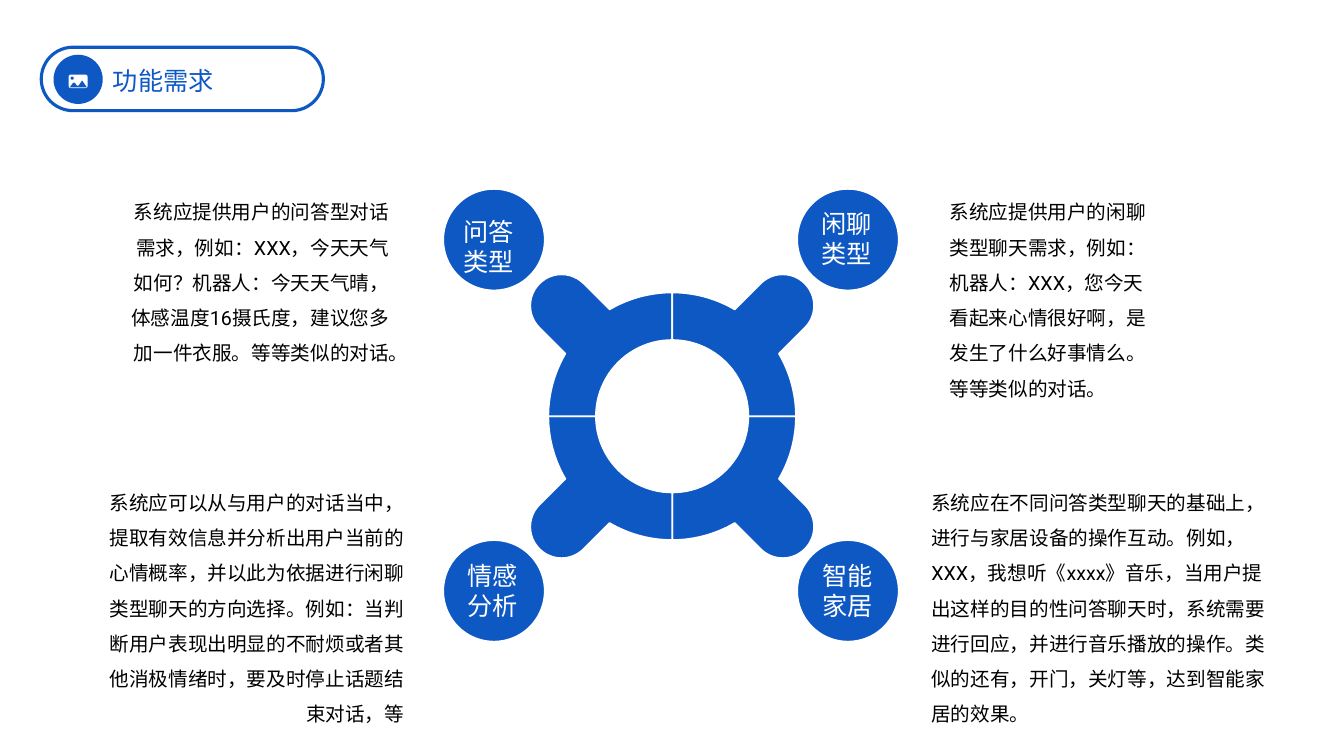
"""Build the functional requirements slide: a four-armed ring with labels and notes."""
import math
from pptx import Presentation
from pptx import util as u
from pptx.dml.color import RGBColor
from pptx.enum import shapes, text
from pptx.oxml.ns import qn

HUES = {"blue": "0E58C4", "white": "FFFFFF", "black": "000000"}
SANS = "Noto Sans CJK SC"
ALIGN = text.PP_ALIGN
KINDS = shapes.MSO_SHAPE

NOTES = [
    ((3.28, 4.75, 6.53, 5.38), ALIGN.RIGHT,
     "系统应提供用户的问答型对话需求，例如：XXX，今天天气如何？机器人：今天天气晴，"
     "体感温度16摄氏度，建议您多加一件衣服。等等类似的对话。"),
    ((2.59, 12.07, 7.6, 6.27), ALIGN.RIGHT,
     "系统应可以从与用户的对话当中，提取有效信息并分析出用户当前的心情概率，"
     "并以此为依据进行闲聊类型聊天的方向选择。例如：当判断用户表现出明显的不耐烦或者"
     "其他消极情绪时，要及时停止话题结束对话，等"),
    ((23.93, 4.75, 5.21, 5.38), ALIGN.LEFT,
     "系统应提供用户的闲聊类型聊天需求，例如：机器人：XXX，您今天看起来心情很好啊，"
     "是发生了什么好事情么。等等类似的对话。"),
    ((23.47, 12.07, 8.51, 6.27), ALIGN.LEFT,
     "系统应在不同问答类型聊天的基础上，进行与家居设备的操作互动。例如，XXX，"
     "我想听《xxxx》音乐，当用户提出这样的目的性问答聊天时，系统需要进行回应，"
     "并进行音乐播放的操作。类似的还有，开门，关灯等，达到智能家居的效果。"),
]
LABELS = [
    (11.43, 5.33, "问答类型"),
    (20.45, 5.13, "闲聊类型"),
    (11.53, 14, "情感分析"),
    (20.47, 14, "智能家居"),
]
PEAKS = [(1.76, 2.2), (1.84, 2.09), (1.88, 2.08), (1.94, 2.16),
         (1.98, 2.16), (2.07, 2.03), (2.19, 2.2)]


def arc(mid, size, start, end, steps=24):
    """Return points along an arc, with angles in degrees."""
    turns = [math.radians(start + (end - start) * i / steps) for i in range(steps + 1)]
    return [(mid[0] + size * math.cos(t), mid[1] + size * math.sin(t)) for t in turns]


def arm(mid, turn):
    """Return the outline of a quarter ring with a rounded arm."""
    inner, outer, cap, reach = 1.92, 3.12, 0.79, 3.94
    axis = turn + 45
    gap = math.degrees(math.asin(cap / outer))
    tip = arc(mid, reach, axis, axis, 1)[0]
    return (arc(mid, outer, turn, axis - gap) + arc(tip, cap, axis - 90, axis + 90)
            + arc(mid, outer, axis + gap, turn + 90) + arc(mid, inner, turn + 90, turn))


class Deck:
    """Hold the style and the current slide."""

    def __init__(self):
        """Open a wide deck with one title-only slide."""
        self.file = Presentation()
        self.file.slide_width, self.file.slide_height = u.Cm(33.87), u.Cm(19.05)
        self.slide = self.file.slides.add_slide(self.file.slide_layouts[5])
        self.items = self.slide.shapes

    def paint(self, shape, fill, line, width):
        """Set the fill and line of a shape and drop its shadow."""
        shape.shadow.inherit = False
        for part, hue in ((shape.fill, fill), (shape.line.fill, line)):
            if hue:
                part.solid()
                part.fore_color.rgb = RGBColor.from_string(HUES[hue])
            else:
                part.background()
        if line:
            shape.line.width = u.Pt(width)
        return shape

    def shape(self, kind, box, fill="blue", line=None, width=1.25):
        """Add a preset shape."""
        item = self.items.add_shape(kind, *map(u.Cm, box))
        return self.paint(item, fill, line, width)

    def free(self, points, line=None):
        """Add a closed blue outline."""
        dots = [(u.Cm(x), u.Cm(y)) for x, y in points]
        edge = self.items.build_freeform(*dots[0])
        edge.add_line_segments(dots[1:], close=True)
        return self.paint(edge.convert_to_shape(), "blue", line, 1.25)

    def label(self, item, words, hue, size=18, font=SANS, inset=True, **para):
        """Put styled words in a shape."""
        frame = item.text_frame
        looks = {"word_wrap": True, "auto_size": text.MSO_AUTO_SIZE.NONE,
                 "vertical_anchor": text.MSO_ANCHOR.TOP}
        if not inset:
            looks.update({f"margin_{s}": 0 for s in ("left", "right", "top", "bottom")})
        line = frame.paragraphs[0]
        run = line.add_run()
        run.text = words
        run.font.color.rgb = RGBColor.from_string(HUES[hue])
        for goal, style in ((frame, looks), (line, para),
                            (run.font, {"size": u.Pt(size), "name": font})):
            for key, value in style.items():
                setattr(goal, key, value)
        props = run.font._element
        props.append(props.makeelement(qn("a:ea"), {"typeface": SANS}))

    def text(self, box, words, hue, **style):
        """Add a text box."""
        self.label(self.items.add_textbox(*map(u.Cm, box)), words, hue, **style)

    def title(self, box, words):
        """Move and fill the title placeholder."""
        item = self.items.title
        for key, value in zip(("left", "top", "width", "height"), box):
            setattr(item, key, u.Cm(value))
        self.label(item, words, "blue", alignment=ALIGN.JUSTIFY, line_spacing=1.0)


def main():
    """Draw the slide and save it."""
    deck = Deck()
    for turn in range(0, 360, 90):
        deck.free(arm((16.94, 10.49), turn), "white")
    for x in (11.17, 20.09):
        for y in (4.76, 13.61):
            deck.shape(KINDS.OVAL, (x, y, 2.56, 2.56), line="white")
    for box, side, words in NOTES:
        deck.text(box, words, "black", size=14, font="Roboto", inset=False,
                  alignment=side, line_spacing=1.5)
    pill = deck.shape(KINDS.ROUNDED_RECTANGLE, (1.04, 1.19, 7.11, 1.6), None, "blue", 2.25)
    pill.adjustments[0] = 0.5
    deck.shape(KINDS.OVAL, (1.35, 1.38, 1.24, 1.24))
    deck.title((2.59, 1.52, 4.95, 1.02), "功能需求")
    deck.shape(KINDS.ROUNDED_RECTANGLE, (1.73, 1.88, 0.48, 0.34), "white")
    deck.free(PEAKS)
    deck.shape(KINDS.OVAL, (1.78, 1.93, 0.08, 0.08))
    for x, y, words in LABELS:
        deck.text((x, y, 1.83, 1.8), words, "white")
    deck.file.save("out.pptx")


if __name__ == "__main__":
    main()
